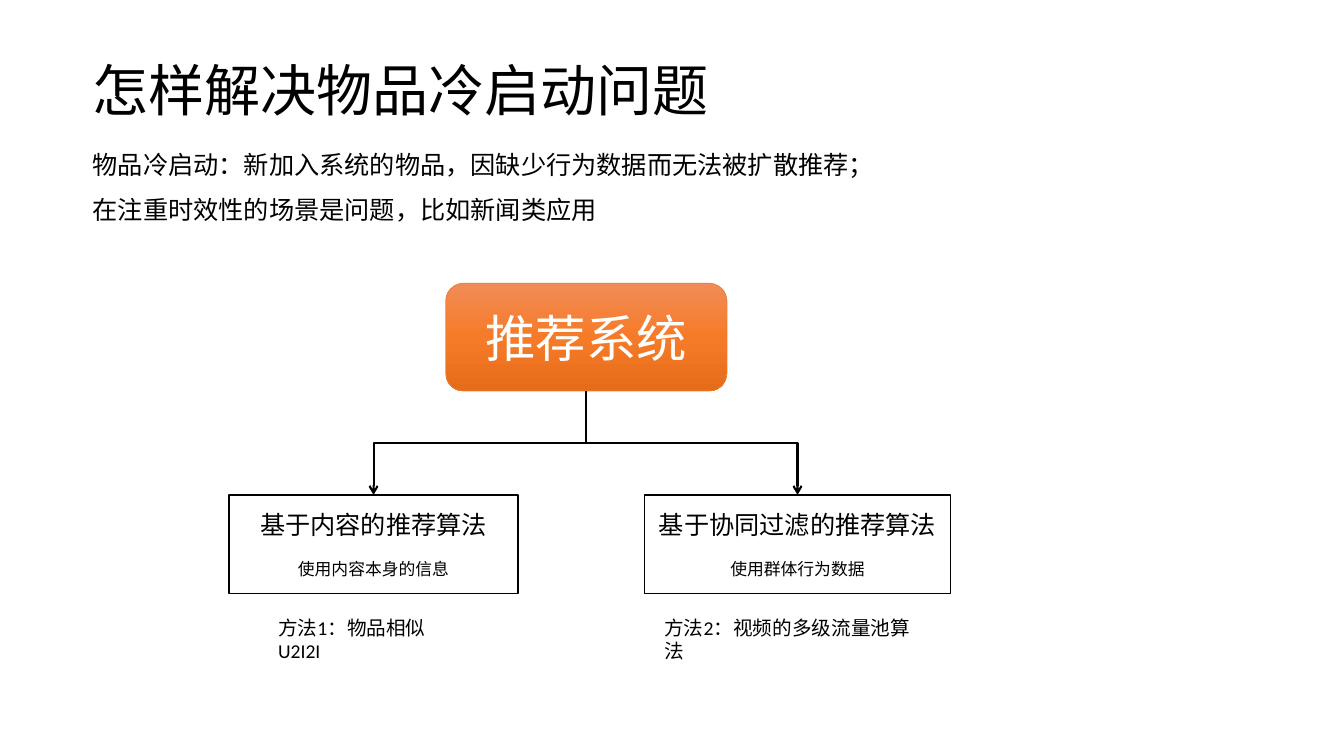
"""Build a slide on how item cold start is handled in a recommender."""
import copy
import dataclasses

import pptx
import pptx.dml.color
import pptx.enum.shapes
import pptx.enum.text
import pptx.oxml
import pptx.oxml.ns
import pptx.util

PX = 9144
RGB = pptx.dml.color.RGBColor.from_string
SHAPE = pptx.enum.shapes.MSO_SHAPE
ANCHOR = pptx.enum.text.MSO_ANCHOR
CENTER = pptx.enum.text.PP_ALIGN.CENTER


@dataclasses.dataclass(frozen=True)
class Theme:
    """Colours, font and type sizes in points."""
    font: str = "Calibri"
    ink: str = "000000"
    paper: str = "FFFFFF"
    accent: str = "ED7D31"
    gradient: tuple = ((0, "F18C57"), (0.5, "F67B28"), (1, "E56C19"))
    title: int = 40
    root: int = 36
    body: int = 18
    method: int = 14
    detail: int = 12


THEME = Theme()


def emu(*lengths):
    """Turn px lengths into EMU."""
    return [pptx.util.Emu(round(n * PX)) for n in lengths]


def apply(obj, values):
    """Set each named attribute on an object."""
    for name, value in values.items():
        setattr(obj, name, value)


def write(tf, lines, color=THEME.ink, anchor=ANCHOR.TOP, **layout):
    """Fill a text frame with (text, size) lines sharing one layout."""
    apply(tf, {"word_wrap": True, "vertical_anchor": anchor})
    for i, (text, size) in enumerate(lines):
        p = tf.paragraphs[0] if i == 0 else tf.add_paragraph()
        apply(p, layout)
        r = p.add_run()
        r.text = text
        apply(r.font, {"name": THEME.font, "size": pptx.util.Pt(size)})
        r.font.color.rgb = RGB(color)


def add_text(s, box, lines, **layout):
    """Add a plain text box."""
    write(s.shapes.add_textbox(*emu(*box)).text_frame, lines, **layout)


def add_box(s, kind, box, lines, color, line, width):
    """Add an outlined shape with centred text."""
    sp = s.shapes.add_shape(kind, *emu(*box))
    sp.shadow.inherit = False
    sp.line.color.rgb = RGB(line)
    sp.line.width = pptx.util.Pt(width)
    write(sp.text_frame, lines, color, ANCHOR.MIDDLE, alignment=CENTER)
    return sp


def add_root(s, box, text):
    """Add the rounded root node with its vertical gradient."""
    sp = add_box(s, SHAPE.ROUNDED_RECTANGLE, box, [(text, THEME.root)],
                 THEME.paper, THEME.accent, 0.5)
    sp.fill.gradient()
    sp.fill.gradient_angle = 270
    stops = sp._element.xpath(".//a:gsLst")[0]
    stops.append(copy.deepcopy(stops[0]))
    for stop, (position, color) in zip(sp.fill.gradient_stops, THEME.gradient):
        stop.color.rgb = RGB(color)
        stop.position = position
    return sp


def add_leaf(s, box, name, detail):
    """Add an algorithm box with a name and a detail line."""
    lines = [(name, THEME.body), (detail, THEME.detail)]
    sp = add_box(s, SHAPE.RECTANGLE, box, lines, THEME.ink, THEME.ink, 1)
    sp.fill.solid()
    sp.fill.fore_color.rgb = RGB(THEME.paper)
    sp.text_frame.paragraphs[1].space_before = pptx.util.Pt(14)
    return sp


def add_branch(s, root, leaf):
    """Add an elbow arrow from the foot of root to the head of leaf."""
    x1, y1 = root.left + root.width // 2, root.top + root.height
    x2, y2 = leaf.left + leaf.width // 2, leaf.top
    cx, cy, dx, dy = (x1 + x2) // 2, (y1 + y2) // 2, (x2 - x1) // 2, (y2 - y1) // 2
    c = s.shapes.add_connector(pptx.enum.shapes.MSO_CONNECTOR.ELBOW,
                               cx - dy, cy + dx, cx + dy, cy - dx)
    c._element.spPr.xfrm.set("rot", "5400000")
    c.line.color.rgb = RGB(THEME.ink)
    c.line.width = pptx.util.Pt(1.5)
    ns = pptx.oxml.ns.nsdecls("a")
    c.line._get_or_add_ln().append(pptx.oxml.parse_xml(f'<a:tailEnd {ns} type="arrow"/>'))
    c._element.spPr.append(pptx.oxml.parse_xml(f"<a:effectLst {ns}/>"))


def main():
    """Build and save the slide."""
    prs = pptx.Presentation()
    prs.slide_width, prs.slide_height = emu(1333, 750)
    s = prs.slides.add_slide(prs.slide_layouts[6])
    add_text(s, (82, 30, 1000, 98), [("怎样解决物品冷启动问题", THEME.title)],
             anchor=ANCHOR.BOTTOM, line_spacing=0.9)
    add_text(s, (82, 128, 815, 101),
             [("物品冷启动：新加入系统的物品，因缺少行为数据而无法被扩散推荐；", THEME.body),
              ("在注重时效性的场景是问题，比如新闻类应用", THEME.body)], line_spacing=1.5)
    root = add_root(s, (442, 281, 279, 107), "推荐系统")
    branches = [
        (227, 287, "基于内容的推荐算法", "使用内容本身的信息",
         266, 208, "方法1：物品相似U2I2I"),
        (639, 304, "基于协同过滤的推荐算法", "使用群体行为数据",
         649, 283, "方法2：视频的多级流量池算法"),
    ]
    for x, w, name, detail, method_x, method_w, method in branches:
        leaf = add_leaf(s, (x, 491, w, 98), name, detail)
        add_branch(s, root, leaf)
        add_text(s, (method_x, 606, method_w, 34), [(method, THEME.method)])
    prs.save("out.pptx")


if __name__ == "__main__":
    main()
